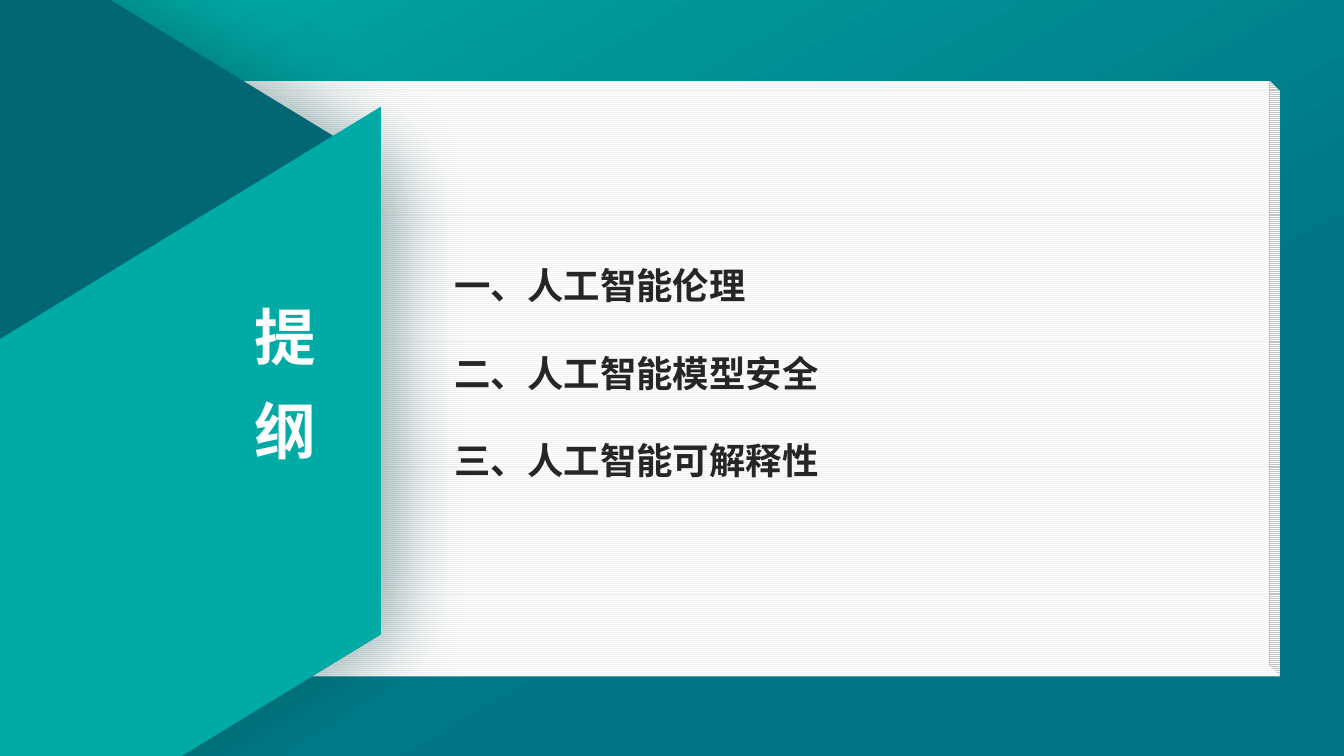
from dataclasses import dataclass, field

from lxml import etree
from pptx import Presentation
from pptx.dml.color import RGBColor
from pptx.dml.fill import FillFormat
from pptx.enum.dml import MSO_PATTERN
from pptx.enum.shapes import MSO_SHAPE
from pptx.enum.text import MSO_AUTO_SIZE, PP_ALIGN
from pptx.oxml.ns import qn
from pptx.slide import Slide
from pptx.util import Pt

CUBE, HEXAGON, SLANT = MSO_SHAPE.CUBE, MSO_SHAPE.HEXAGON, MSO_SHAPE.PARALLELOGRAM
STRIPES = MSO_PATTERN.LIGHT_HORIZONTAL
FIT, FIXED = MSO_AUTO_SIZE.SHAPE_TO_FIT_TEXT, MSO_AUTO_SIZE.NONE
LEFT, CENTER = PP_ALIGN.LEFT, PP_ALIGN.CENTER

TEAL = RGBColor(0x00, 0xAB, 0xA5)
OCEAN = RGBColor(0x00, 0x76, 0x84)
DEEP = RGBColor(0x01, 0x67, 0x73)
SHADE = RGBColor(0x01, 0x3F, 0x45)
BLACK = RGBColor(0, 0, 0)
WHITE = RGBColor(0xFF, 0xFF, 0xFF)
PALE = RGBColor(0xF2, 0xF2, 0xF2)
INK = RGBColor(0x26, 0x26, 0x26)
FONT = "Noto Sans CJK SC"

Box = tuple[float, float, float, float]
Stop = tuple[float, RGBColor]


@dataclass
class Shadow:
    color: RGBColor
    alpha: int
    blur: float
    gap: float
    angle: int


@dataclass
class Fill:
    stops: list[Stop]
    angle: int = 0
    striped: bool = False


@dataclass
class Panel:
    kind: MSO_SHAPE
    box: Box
    adjust: list[float]
    fill: Fill
    turn: float = 0
    flip: bool = False
    shadow: Shadow | None = None


@dataclass
class Label:
    box: Box
    lines: list[str]
    color: RGBColor
    size: float
    spacing: float
    align: PP_ALIGN = LEFT
    frame: dict = field(default_factory=dict)
    shadow: Shadow | None = None


BACKDROP = Fill([(0, TEAL), (0.67, OCEAN)], 300)
PANELS = [
    Panel(CUBE, (0, 57.6, 914.4, 425.5), [0.018],
          Fill([(0, PALE), (1, WHITE)], striped=True), flip=True),
    Panel(HEXAGON, (-447.1, -56.9, 753.1, 684.7), [0.305, 1.155],
          Fill([(0.77, DEEP), (1, OCEAN)], 270), 90,
          shadow=Shadow(SHADE, 40, 55, 13, 0)),
    Panel(SLANT, (-197.3, 208.1, 596.9, 321.8), [0.61],
          Fill([(0, TEAL)]), 328.6),
]
LABELS = [
    Label((174, 199.3, 60, 134), ["提", "纲"], WHITE, 44, Pt(67), CENTER,
          {"auto_size": FIXED, "margin_left": 0, "margin_right": 0,
           "margin_top": 0, "margin_bottom": 0},
          Shadow(BLACK, 43, 3, 3, 45)),
    Label((317.5, 153.4, 514.8, 186.5),
          ["一、人工智能伦理", "二、人工智能模型安全", "三、人工智能可解释性"],
          INK, 26, 2.0, frame={"auto_size": FIT}),
]


def apply(target: object, values: dict) -> None:
    for name, value in values.items():
        setattr(target, name, value)


def paint(fill: FillFormat, look: Fill) -> None:
    if look.striped:
        fill.patterned()
        fill.pattern = STRIPES
        fill.fore_color.rgb, fill.back_color.rgb = (c for _, c in look.stops)
    elif len(look.stops) == 1:
        fill.solid()
        fill.fore_color.rgb = look.stops[0][1]
    else:
        fill.gradient()
        fill.gradient_angle = look.angle
        for stop, (place, color) in zip(fill.gradient_stops, look.stops):
            stop.position = place
            stop.color.rgb = color


def effect(shadow: Shadow) -> etree._Element:
    group = etree.Element(qn("a:effectLst"))
    outer = etree.SubElement(
        group, qn("a:outerShdw"), blurRad=str(Pt(shadow.blur)),
        dist=str(Pt(shadow.gap)), dir=str(shadow.angle * 60000),
        algn="ctr", rotWithShape="0")
    color = etree.SubElement(outer, qn("a:srgbClr"), val=str(shadow.color))
    etree.SubElement(color, qn("a:alpha"), val=str(shadow.alpha * 1000))
    return group


def draw_panel(slide: Slide, panel: Panel) -> None:
    shape = slide.shapes.add_shape(panel.kind, *map(Pt, panel.box))
    for index, value in enumerate(panel.adjust):
        shape.adjustments[index] = value
    shape.rotation = panel.turn
    shape.line.fill.background()
    shape.shadow.inherit = False
    paint(shape.fill, panel.fill)
    props = shape._element.spPr
    if panel.flip:
        props.find(qn("a:xfrm")).set("flipV", "1")
    if panel.shadow:
        blank = props.find(qn("a:effectLst"))
        props.replace(blank, effect(panel.shadow))


def draw_label(slide: Slide, label: Label) -> None:
    frame = slide.shapes.add_textbox(*map(Pt, label.box)).text_frame
    apply(frame, {"word_wrap": True, **label.frame})
    for index, line in enumerate(label.lines):
        para = frame.add_paragraph() if index else frame.paragraphs[0]
        apply(para, {"alignment": label.align, "line_spacing": label.spacing})
        run = para.add_run()
        run.text = line
        apply(run.font, {"name": FONT, "size": Pt(label.size), "bold": True})
        run.font.color.rgb = label.color
        props = run._r.get_or_add_rPr()
        latin = props.find(qn("a:latin"))
        if label.shadow:
            latin.addprevious(effect(label.shadow))
        latin.addnext(etree.Element(qn("a:ea"), typeface=FONT))


def main() -> None:
    deck = Presentation()
    apply(deck, {"slide_width": Pt(960), "slide_height": Pt(540)})
    slide = deck.slides.add_slide(deck.slide_layouts[6])
    paint(slide.background.fill, BACKDROP)
    for panel in PANELS:
        draw_panel(slide, panel)
    for label in LABELS:
        draw_label(slide, label)
    deck.save("out.pptx")


if __name__ == "__main__":
    main()
